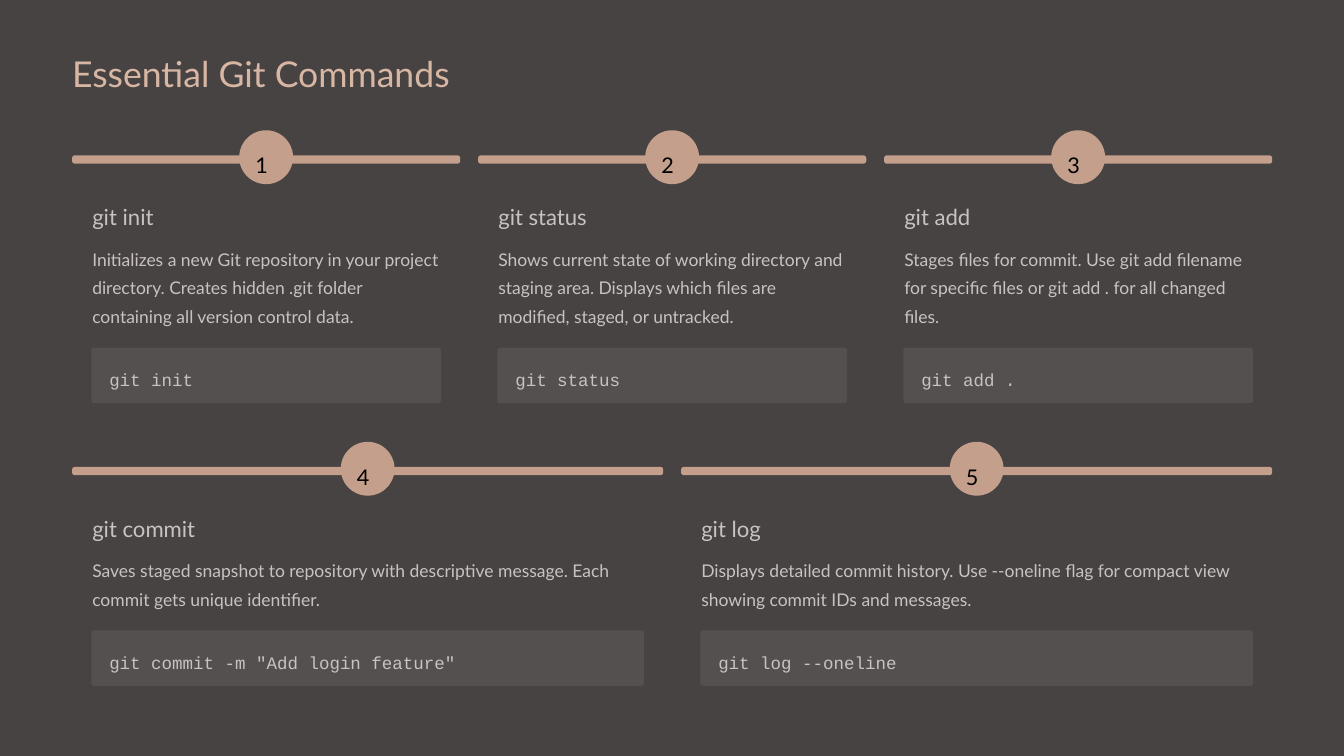
from pptx import Presentation
from pptx.dml.color import RGBColor
from pptx.enum.shapes import MSO_SHAPE
from pptx.enum.text import MSO_ANCHOR, PP_ALIGN
from pptx.util import Cm, Pt

OVAL = MSO_SHAPE.OVAL
ROUNDED = MSO_SHAPE.ROUNDED_RECTANGLE
TOP = MSO_ANCHOR.TOP
LEFT = PP_ALIGN.LEFT

TITLE = "Essential Git Commands"
ROWS = [
    (4.7, 3, [
        ("git init",
         "Initializes a new Git repository in your project directory. "
         "Creates hidden .git folder containing all version control data.",
         "git init"),
        ("git status",
         "Shows current state of working directory and staging area. "
         "Displays which files are modified, staged, or untracked.",
         "git status"),
        ("git add",
         "Stages files for commit. Use git add filename for specific files "
         "or git add . for all changed files.",
         "git add ."),
    ]),
    (14.12, 2, [
        ("git commit",
         "Saves staged snapshot to repository with descriptive message. "
         "Each commit gets unique identifier.",
         'git commit -m "Add login feature"'),
        ("git log",
         "Displays detailed commit history. Use --oneline flag for compact "
         "view showing commit IDs and messages.",
         "git log --oneline"),
    ]),
]

BACKGROUND, ACCENT, CODE_FILL = "464342", "C49F8C", "53504F"
TITLE_COLOR, TEXT_COLOR, NUMBER_COLOR = "D8B6A4", "C9C2C0", "000000"
SANS, MONO = "Lato", "Courier New"

MARGIN, CONTENT_WIDTH, GAP = 2.18, 36.29, 0.54
PADDING, CODE_PADDING = 0.61, 0.58
BAR_HEIGHT, CIRCLE, CIRCLE_RISE = 0.25, 1.63, 0.76
HEADING_DROP, BODY_DROP = 1.42, 2.59
LINE_HEIGHT, CODE_HEIGHT = 0.87, 1.68


def rgb(color):
    return RGBColor.from_string(color)


def write(shape, text, size, spacing, color, font=SANS, inset=(0, 0)):
    frame = shape.text_frame
    frame.text = text
    frame.word_wrap = True
    frame.vertical_anchor = TOP
    frame.margin_left, frame.margin_top = Cm(inset[0]), Cm(inset[1])
    frame.margin_right = frame.margin_bottom = 0
    paragraph = frame.paragraphs[0]
    paragraph.alignment = LEFT
    paragraph.line_spacing = Pt(spacing)
    paragraph.space_before = Pt(0)
    run = paragraph.runs[0].font
    run.name, run.size = font, Pt(size)
    run.color.rgb = rgb(color)


def add_block(slide, kind, left, top, width, height, color, corner=None):
    block = slide.shapes.add_shape(kind, Cm(left), Cm(top), Cm(width), Cm(height))
    block.shadow.inherit = False
    block.fill.solid()
    block.fill.fore_color.rgb = rgb(color)
    block.line.fill.background()
    if corner is not None:
        block.adjustments[0] = corner
    return block


def add_text(slide, left, top, width, height, *style):
    box = slide.shapes.add_textbox(Cm(left), Cm(top), Cm(width), Cm(height))
    write(box, *style)


def add_card(slide, left, top, width, lines, number, command):
    heading, description, code = command
    add_block(slide, ROUNDED, left, top, width, BAR_HEIGHT, ACCENT, 0.32)
    circle = add_block(slide, OVAL, left + (width - CIRCLE) / 2,
                       top - CIRCLE_RISE, CIRCLE, CIRCLE, ACCENT)
    write(circle, str(number), 18.5, 29.5, NUMBER_COLOR, SANS, (0.25, 0.17))

    inner_width = width - 2 * PADDING
    body_height = lines * LINE_HEIGHT
    add_text(slide, left + PADDING, top + HEADING_DROP, inner_width, 0.84,
             heading, 19, 24, TEXT_COLOR)
    add_text(slide, left + PADDING, top + BODY_DROP, inner_width, body_height,
             description, 15, 24.5, TEXT_COLOR)

    code_top = top + BODY_DROP + body_height + PADDING
    code_box = add_block(slide, ROUNDED, left + CODE_PADDING, code_top,
                         width - 2 * CODE_PADDING, CODE_HEIGHT, CODE_FILL, 0.05)
    write(code_box, code, 15, 24.5, TEXT_COLOR, MONO, (0.52, 0.39))


def main():
    deck = Presentation()
    deck.slide_width, deck.slide_height = Cm(40.64), Cm(22.86)
    slide = deck.slides.add_slide(deck.slide_layouts[5])
    slide.background.fill.solid()
    slide.background.fill.fore_color.rgb = rgb(BACKGROUND)

    title = slide.shapes.title
    title.left, title.top = Cm(MARGIN), Cm(1.5)
    title.width, title.height = Cm(CONTENT_WIDTH), Cm(1.37)
    write(title, TITLE, 30.5, 38.5, TITLE_COLOR)

    number = 1
    for top, lines, commands in ROWS:
        width = (CONTENT_WIDTH - GAP * (len(commands) - 1)) / len(commands)
        for column, command in enumerate(commands):
            left = MARGIN + column * (width + GAP)
            add_card(slide, left, top, width, lines, number, command)
            number += 1

    deck.save("out.pptx")


if __name__ == "__main__":
    main()
